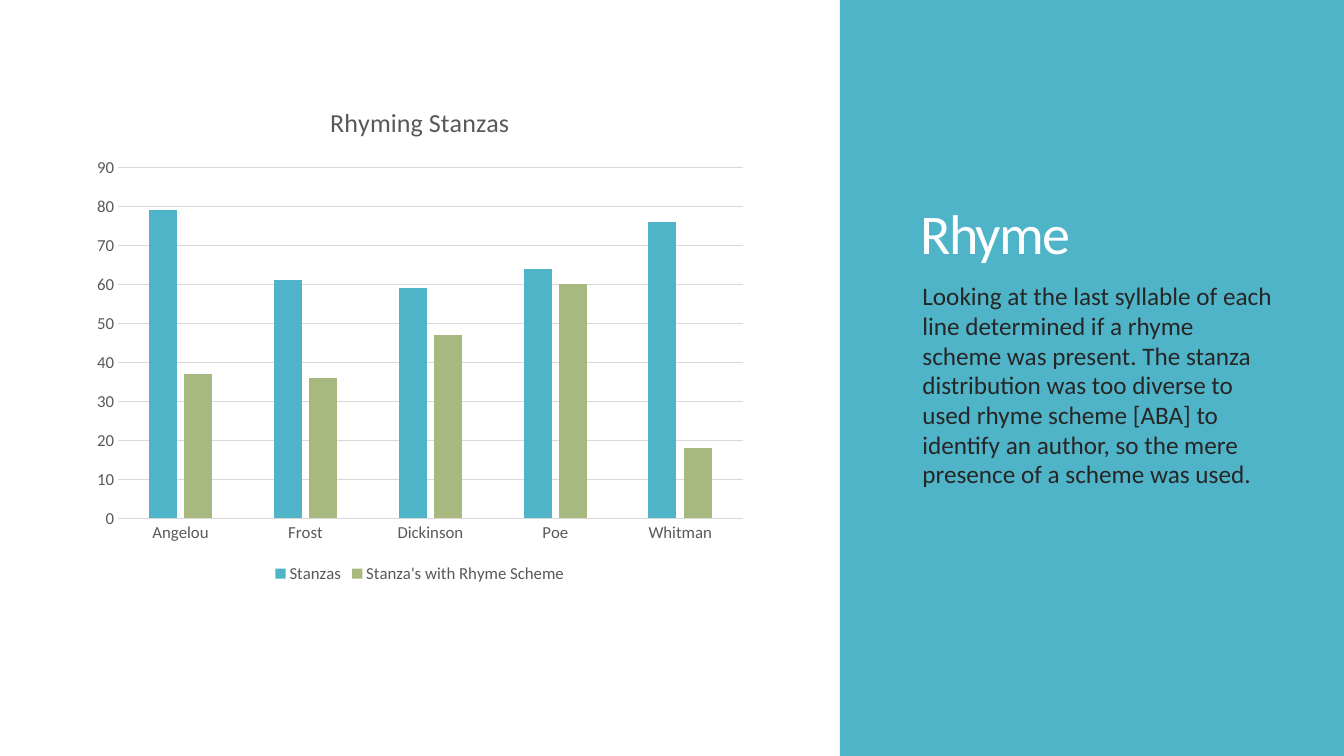
from lxml.etree import SubElement
from pptx import Presentation
from pptx.chart.data import CategoryChartData
from pptx.dml.color import RGBColor
from pptx.enum.chart import XL_CHART_TYPE, XL_LEGEND_POSITION, XL_TICK_MARK
from pptx.enum.shapes import MSO_SHAPE
from pptx.enum.text import MSO_ANCHOR
from pptx.util import Inches, Pt

COLORS = {
    "teal": "50B4C8",
    "green": "A8B97F",
    "white": "FFFFFF",
    "body": "262626",
    "label": "595959",
    "grid": "D9D9D9",
}
FONT = "Calibri"
AUTHORS = ["Angelou", "Frost", "Dickinson", "Poe", "Whitman"]
STANZA_SERIES = [
    ("Stanzas", [79, 61, 59, 64, 76], "teal"),
    ("Stanza's with Rhyme Scheme", [37, 36, 47, 60, 18], "green"),
]
EXPLANATION = (
    "Looking at the last syllable of each line determined if a rhyme scheme "
    "was present. The stanza distribution was too diverse to used rhyme scheme "
    "[ABA] to identify an author, so the mere presence of a scheme was used."
)


def color(name):
    """Return the named colour."""
    return RGBColor.from_string(COLORS[name])


def style_font(font, size, color_name):
    """Set typeface, size and colour of a font."""
    font.name = FONT
    font.size = Pt(size)
    font.bold = False
    font.color.rgb = color(color_name)


def style_line(line):
    """Give a chart line the thin grid look."""
    line.color.rgb = color("grid")
    line.width = Pt(0.75)


def add_text(slide, box, text, size, color_name, anchor, line_spacing):
    """Add a wrapped paragraph in the box and return it."""
    frame = slide.shapes.add_textbox(*map(Inches, box)).text_frame
    frame.word_wrap = True
    frame.vertical_anchor = anchor
    paragraph = frame.paragraphs[0]
    paragraph.text = text
    paragraph.line_spacing = line_spacing
    style_font(paragraph.font, size, color_name)
    return paragraph


def add_rhyme_panel(slide, left, top, width, height):
    """Add the coloured panel with its heading and explanation."""
    panel = slide.shapes.add_shape(
        MSO_SHAPE.RECTANGLE, *map(Inches, (left, top, width, height))
    )
    panel.shadow.inherit = False
    panel.fill.solid()
    panel.fill.fore_color.rgb = color("teal")
    panel.line.fill.background()

    heading = add_text(slide, (left + 0.7, top + 0.59, 3.7, 2.1), "Rhyme",
                       40, "white", MSO_ANCHOR.BOTTOM, 0.85)
    heading.runs[0].font._element.set("spc", "-120")
    add_text(slide, (left + 0.72, top + 2.75, 3.72, 3.42), EXPLANATION,
             18, "body", MSO_ANCHOR.TOP, 0.98)


def add_stanza_chart(slide, left, top, width, height):
    """Add the clustered column chart of stanzas by author."""
    data = CategoryChartData()
    data.categories = AUTHORS
    for name, values, _ in STANZA_SERIES:
        data.add_series(name, values)
    chart = slide.shapes.add_chart(
        XL_CHART_TYPE.COLUMN_CLUSTERED,
        *map(Inches, (left, top, width, height)), data
    ).chart
    style_font(chart.font, 12, "label")

    chart.has_title = True
    title = chart.chart_title.text_frame
    title.text = "Rhyming Stanzas"
    style_font(title.paragraphs[0].font, 18.6, "label")
    chart.chart_title.include_in_layout = False

    chart.has_legend = True
    chart.legend.position = XL_LEGEND_POSITION.BOTTOM
    chart.legend.include_in_layout = False
    style_font(chart.legend.font, 12, "label")

    for axis in (chart.category_axis, chart.value_axis):
        axis.major_tick_mark = XL_TICK_MARK.NONE
        axis.minor_tick_mark = XL_TICK_MARK.NONE
        style_font(axis.tick_labels.font, 12, "label")
    style_line(chart.category_axis.format.line)
    chart.value_axis.format.line.fill.background()
    style_line(chart.value_axis.major_gridlines.format.line)
    chart.value_axis.minimum_scale = 0
    chart.value_axis.maximum_scale = 90
    chart.value_axis.major_unit = 10

    plot = chart.plots[0]
    plot.vary_by_categories = False
    plot.gap_width = 219
    plot.overlap = -27
    for series, (_, _, color_name) in zip(plot.series, STANZA_SERIES):
        series.format.fill.solid()
        series.format.fill.fore_color.rgb = color(color_name)


def build_rhyme_slide(presentation):
    """Add the slide with the chart at left and the panel at right."""
    slide = presentation.slides.add_slide(presentation.slide_layouts[6])
    add_rhyme_panel(slide, 8.33, 0, 5, 7.5)
    add_stanza_chart(slide, 0.83, 0.83, 6.67, 5)


presentation = Presentation()
presentation.slide_width = Inches(13.33)
presentation.slide_height = Inches(7.5)
build_rhyme_slide(presentation)
presentation.save("out.pptx")
